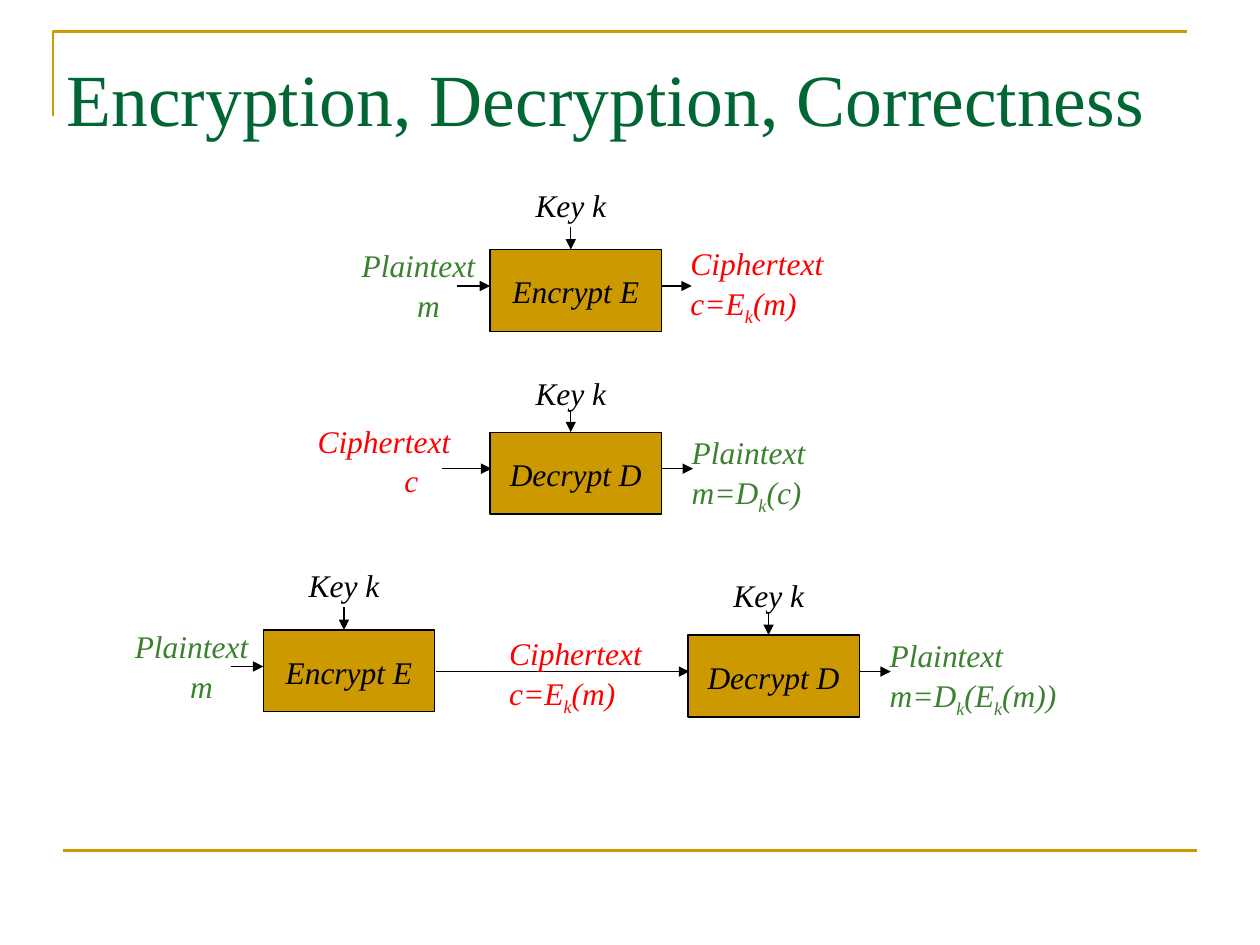
from lxml.etree import SubElement
from pptx import Presentation
from pptx.dml.color import RGBColor
from pptx.enum.shapes import MSO_CONNECTOR, MSO_SHAPE
from pptx.enum.text import MSO_ANCHOR, PP_ALIGN
from pptx.oxml.ns import qn
from pptx.util import Inches, Pt

FONT = "Times New Roman"
GOLD, BLACK, GREEN, RED, TITLE = "CC9900", "000000", "3B812F", "FF0000", "006633"
BOX_W, BOX_H = 1.36, 0.65
FLOW_DY = 0.29
KEY_DX, KEY_ARROW_DX, KEY_ARROW_LEN = 0.29, 0.64, 0.18

STAGES = [
    ("Encrypt E", 3.89, 1.98, 0.56),
    ("Decrypt D", 3.89, 3.43, 0.52),
    ("Encrypt E", 2.09, 5.00, 0.56),
    ("Decrypt D", 5.46, 5.04, 0.52),
]
LABELS = [
    ("Plaintext\nm", GREEN, 2.80, 1.90, 1.06, 0.44),
    ("Ciphertext\vc=E_k(m)", RED, 5.41, 1.88, 1.21, 0),
    ("Ciphertext\nc", RED, 2.45, 3.29, 1.21, 0.69),
    ("Plaintext\vm=D_k(c)", GREEN, 5.42, 3.38, 1.06, 0),
    ("Plaintext\nm", GREEN, 1.00, 4.92, 1.06, 0.44),
    ("Ciphertext\vc=E_k(m)", RED, 3.97, 4.98, 1.21, 0),
    ("Plaintext\vm=D_k(E_k(m))", GREEN, 6.99, 4.99, 1.51, 0),
]
FLOWS = [
    (3.63, 3.89, 1.98), (5.25, 5.49, 1.98),
    (3.51, 3.90, 3.43), (5.25, 5.50, 3.43),
    (1.83, 2.09, 5.00), (3.46, 5.47, 5.04), (6.82, 7.07, 5.04),
]


def rgb(color):
    return RGBColor.from_string(color)


def write(tf, text, size=18, color=BLACK, italic=True, align=PP_ALIGN.LEFT,
          spacing=1.05, indent=0, margins=(0.07, 0.04), wrap=False):
    tf.word_wrap = wrap
    tf.margin_left = tf.margin_right = Inches(margins[0])
    tf.margin_top = tf.margin_bottom = Inches(margins[1])
    for i, line in enumerate(text.split("\n")):
        p = tf.add_paragraph() if i else tf.paragraphs[0]
        p.alignment, p.line_spacing = align, spacing
        if i and indent:
            p._p.get_or_add_pPr().set("marL", str(Inches(indent)))
        for j, part in enumerate(line.split("\v")):
            if j:
                p.add_line_break()
            first, *rest = part.split("_")
            pieces = [(first, False)]
            for chunk in rest:
                pieces += [(chunk[0], True), (chunk[1:], False)]
            for piece, subscript in pieces:
                r = p.add_run()
                r.text = piece
                r.font.name, r.font.size, r.font.italic = FONT, Pt(size), italic
                r.font.color.rgb = rgb(color)
                if subscript:
                    r.font._element.set("baseline", "-25000")


def add_label(s, text, x, y, w, h=0.68, **fmt):
    tb = s.shapes.add_textbox(Inches(x), Inches(y), Inches(w), Inches(h))
    write(tb.text_frame, text, **fmt)


def add_line(s, x1, y1, x2, y2, color=BLACK, width=0.75, arrow=True):
    c = s.shapes.add_connector(MSO_CONNECTOR.STRAIGHT, Inches(x1), Inches(y1),
                               Inches(x2), Inches(y2))
    c.line.color.rgb = rgb(color)
    c.line.width = Pt(width)
    if arrow:
        SubElement(c.line._get_or_add_ln(), qn("a:tailEnd"), type="triangle")
    SubElement(c._element.spPr, qn("a:effectLst"))


def add_frame(s):
    fb = s.shapes.build_freeform(Inches(0.42), Inches(0.92))
    fb.add_line_segments([(Inches(0.42), Inches(0.25)),
                          (Inches(9.42), Inches(0.25))], close=False)
    sp = fb.convert_to_shape()
    sp.shadow.inherit = False
    sp.fill.background()
    sp.line.color.rgb = rgb(GOLD)
    sp.line.width = Pt(1.5)
    add_line(s, 0.5, 6.75, 9.5, 6.75, color=GOLD, width=1.5, arrow=False)


def add_stage(s, name, x, y, key_rise):
    sp = s.shapes.add_shape(MSO_SHAPE.RECTANGLE, Inches(x), Inches(y),
                            Inches(BOX_W), Inches(BOX_H))
    sp.shadow.inherit = False
    sp.fill.solid()
    sp.fill.fore_color.rgb = rgb(GOLD)
    sp.line.color.rgb = rgb(BLACK)
    sp.line.width = Pt(0.75)
    sp.text_frame.vertical_anchor = MSO_ANCHOR.MIDDLE
    write(sp.text_frame, name, align=PP_ALIGN.CENTER)
    arrow_x = x + KEY_ARROW_DX
    add_line(s, arrow_x, y - KEY_ARROW_LEN, arrow_x, y)
    add_label(s, "Key k", x + KEY_DX, y - key_rise, 0.72, 0.38)


def main():
    prs = Presentation()
    prs.slide_width, prs.slide_height = Inches(10), Inches(7.5)
    s = prs.slides.add_slide(prs.slide_layouts[5])
    add_frame(s)
    title = s.shapes.title
    title.left, title.top = Inches(0.43), Inches(0.3)
    title.width, title.height = Inches(9.07), Inches(1.5)
    title.text_frame.vertical_anchor = MSO_ANCHOR.TOP
    write(title.text_frame, "Encryption, Decryption, Correctness", size=42,
          color=TITLE, italic=False, spacing=1, margins=(0.1, 0.12), wrap=True)
    for stage in STAGES:
        add_stage(s, *stage)
    for x1, x2, top in FLOWS:
        add_line(s, x1, top + FLOW_DY, x2, top + FLOW_DY)
    for text, color, x, y, w, indent in LABELS:
        add_label(s, text, x, y, w, color=color, indent=indent)
    prs.save("out.pptx")


if __name__ == "__main__":
    main()
